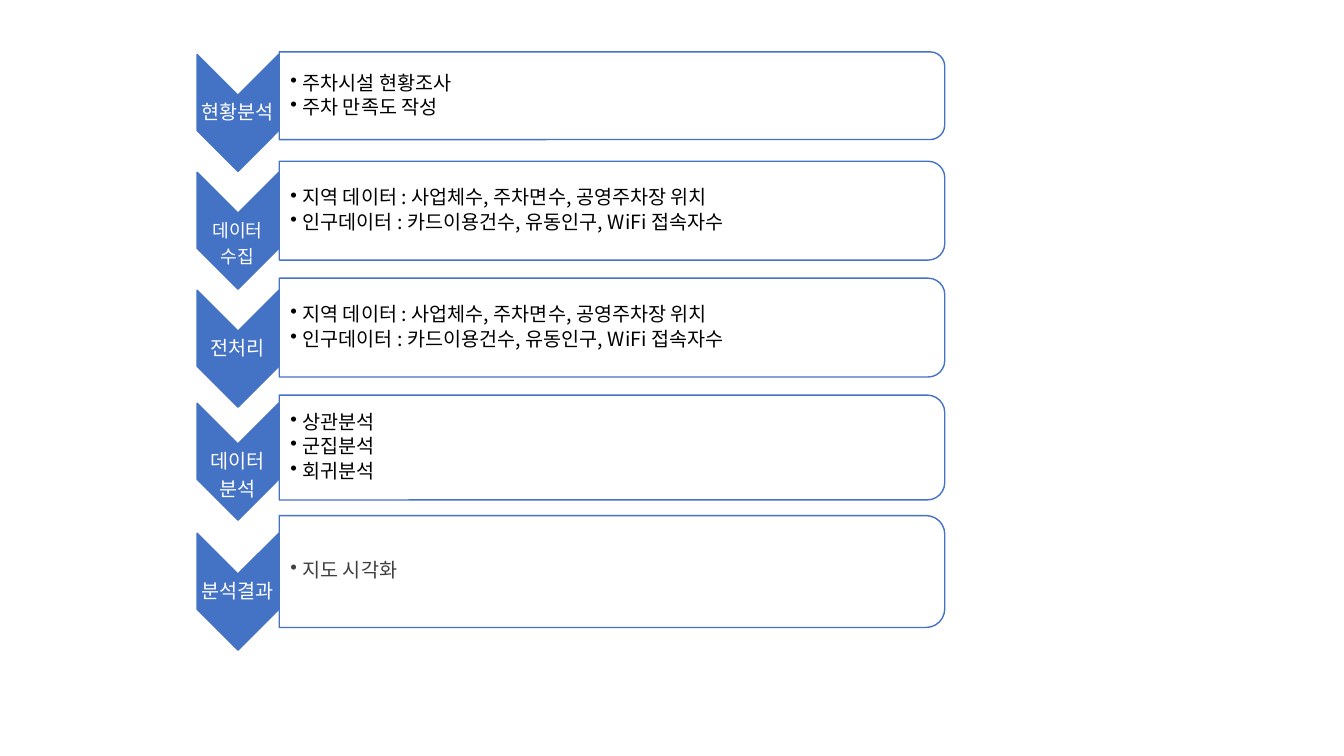
from dataclasses import dataclass

from lxml.etree import SubElement
from pptx import Presentation
from pptx.dml.color import RGBColor
from pptx.enum.shapes import MSO_SHAPE as Preset
from pptx.enum.text import MSO_ANCHOR as Anchor, PP_ALIGN as Align
from pptx.oxml.ns import qn
from pptx.util import Inches, Pt


@dataclass(frozen=True)
class Theme:
    """Colours, font and type sizes of the slide."""
    blue: str = "4472C4"
    white: str = "FFFFFF"
    black: str = "000000"
    gray: str = "404040"
    font: str = "Noto Sans CJK KR"
    body: int = 14
    small: int = 13


class ProcessSlide:
    """Draws the steps of a process on one slide."""

    def __init__(self, page, theme):
        """Keep the theme and open a group for the diagram."""
        self.theme = theme
        self.shapes = page.shapes.add_group_shape().shapes

    def turned_shape(self, preset, center, length, breadth, fill):
        """Add a preset shape turned a quarter clockwise about its center."""
        x, y = center
        shape = self.shapes.add_shape(
            preset, Inches(x - length / 2), Inches(y - breadth / 2),
            Inches(length), Inches(breadth))
        shape.rotation = 90
        shape.shadow.inherit = False
        shape.fill.solid()
        shape.fill.fore_color.rgb = RGBColor.from_string(fill)
        shape.line.color.rgb = RGBColor.from_string(self.theme.blue)
        shape.line.width = Pt(1)
        return shape

    def chevron(self, y):
        """Add the downward arrow of a step."""
        self.turned_shape(Preset.CHEVRON, (2.36, y), 1.16, 0.81, self.theme.blue)

    def panel(self, y, height):
        """Add the slightly transparent panel of a step."""
        shape = self.turned_shape(Preset.ROUND_2_SAME_RECTANGLE, (6.07, y),
                                  height, 6.6, self.theme.white)
        color = shape._element.spPr.find(qn("a:solidFill"))[0]
        SubElement(color, qn("a:alpha"), val="90000")

    def text(self, lines, place, size, color, gap, left_inset=0.01):
        """Add a centred text box, with a gap relative to the type size."""
        box = self.shapes.add_textbox(*map(Inches, place))
        frame = box.text_frame
        frame.word_wrap = True
        frame.vertical_anchor = Anchor.MIDDLE
        frame.margin_left = Inches(left_inset)
        frame.margin_right = frame.margin_top = frame.margin_bottom = Inches(0.01)
        for index, line in enumerate(lines):
            para = frame.add_paragraph() if index else frame.paragraphs[0]
            para.line_spacing = 0.9
            para.space_after = Pt(gap * size)
            span = para.add_run()
            span.text = line
            span.font.size = Pt(size)
            span.font.name = self.theme.font
            span.font.color.rgb = RGBColor.from_string(color)
            SubElement(span.font._element, qn("a:ea"), typeface=self.theme.font)
        return frame.paragraphs

    def label(self, lines, y, size):
        """Add a step name; further lines grow down into the arrow tip."""
        extra = 0.28 * (len(lines) - 1)
        place = (1.95, y - 0.175, 0.81, 0.35 + extra)
        for para in self.text(lines, place, size, self.theme.white, 0.35):
            para.alignment = Align.CENTER

    def bullets(self, lines, y, height, color):
        """Add the bulleted details of a step."""
        place = (2.77, y - height / 2, 6.55, height)
        for para in self.text(lines, place, self.theme.body, color, 0.15, 0.11):
            settings = para._p.get_or_add_pPr()
            settings.set("marL", str(Inches(0.12)))
            settings.set("indent", str(Inches(-0.12)))
            SubElement(settings, qn("a:buChar"), char="•")


theme = Theme()
deck = Presentation()
deck.slide_width, deck.slide_height = Inches(13.33), Inches(7.5)
diagram = ProcessSlide(deck.slides.add_slide(deck.slide_layouts[6]), theme)

data_sources = ["지역 데이터 : 사업체수, 주차면수, 공영주차장 위치",
                "인구데이터 : 카드이용건수, 유동인구, WiFi 접속자수"]
# label, label size, chevron center, panel center, panel height, details, color
steps = [
    (["현황분석"], theme.body, 1.12, 0.95, 0.87,
     ["주차시설 현황조사", "주차 만족도 작성"], theme.black),
    (["데이터", "수집"], theme.small, 2.29, 2.09, 0.98, data_sources, theme.black),
    (["전처리"], theme.body, 3.46, 3.25, 0.98, data_sources, theme.black),
    (["데이터", "분석"], theme.body, 4.58, 4.44, 1.04,
     ["상관분석", "군집분석", "회귀분석"], theme.black),
    (["분석결과"], theme.body, 5.87, 5.67, 1.11, ["지도 시각화"], theme.gray),
]
for name, size, arrow_y, panel_y, height, details, color in steps:
    diagram.chevron(arrow_y)
    diagram.label(name, arrow_y, size)
    diagram.panel(panel_y, height)
    diagram.bullets(details, panel_y, height - 0.1, color)

deck.save("out.pptx")
